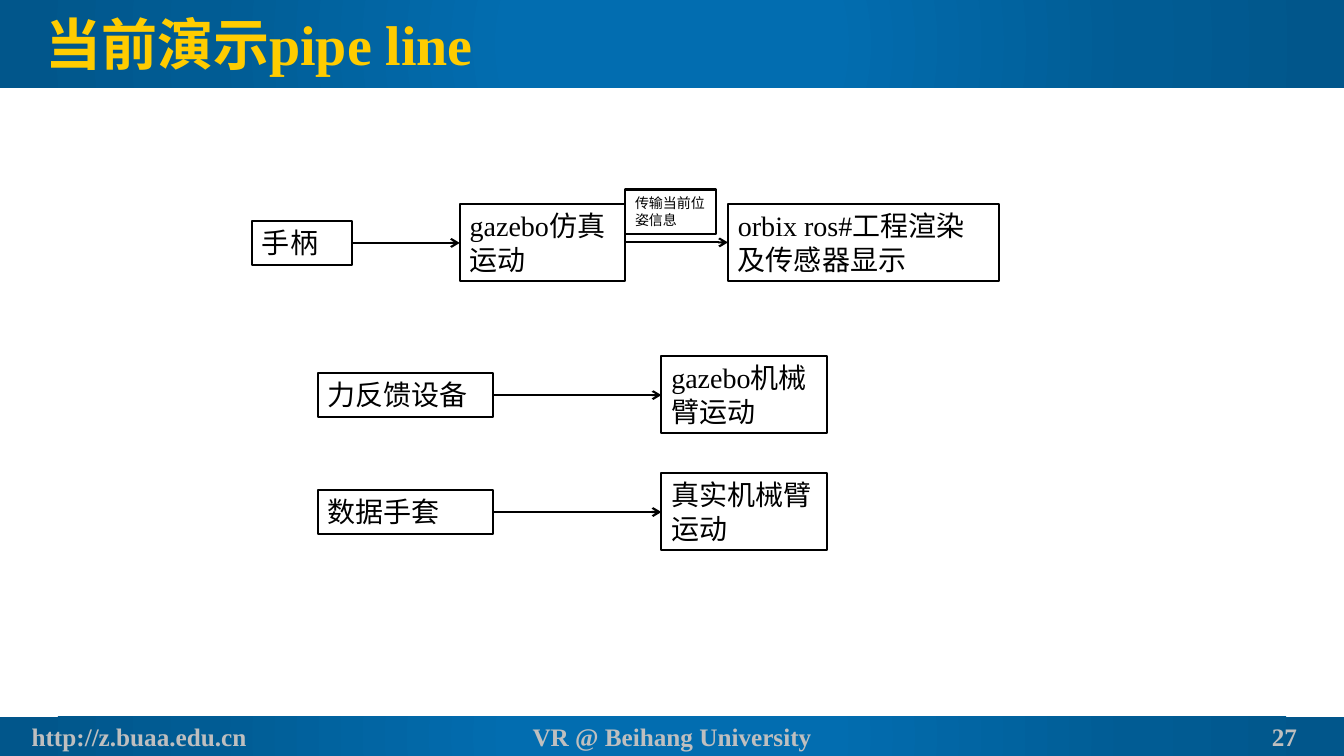
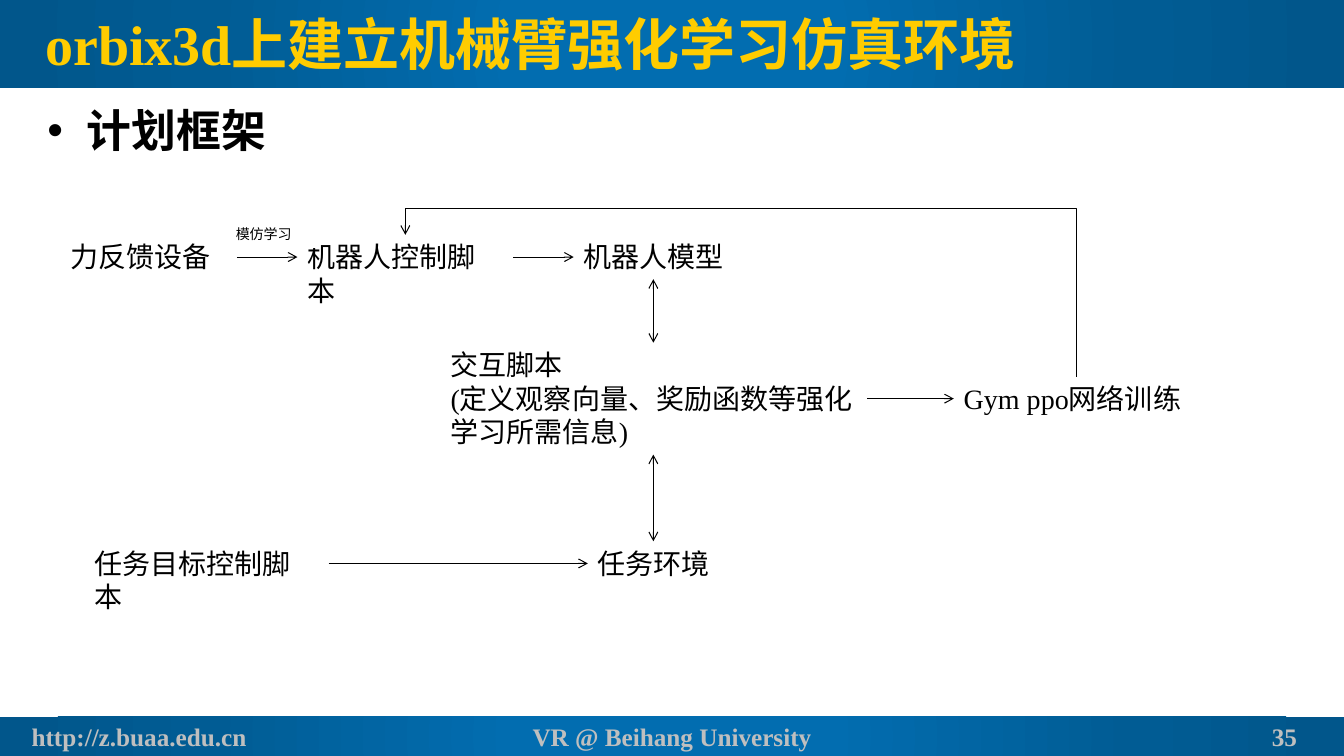
import pptx
import pptx.util
import pptx.oxml
import pptx.oxml.ns
import pptx.dml.color
import pptx.enum.shapes
import pptx.enum.text
from dataclasses import dataclass
from lxml import etree

Inches = pptx.util.Inches
Pt = pptx.util.Pt
qn = pptx.oxml.ns.qn
ALIGN = pptx.enum.text.PP_ALIGN
ANCHOR = pptx.enum.text.MSO_ANCHOR
AUTO = pptx.enum.text.MSO_AUTO_SIZE
RECT = pptx.enum.shapes.MSO_SHAPE.RECTANGLE
CONNECTOR = pptx.enum.shapes.MSO_CONNECTOR


@dataclass(frozen=True)
class Theme:
    font: str = "Times New Roman"
    ink: str = "000000"
    paper: str = "FFFFFF"
    title: str = "FFCC00"
    footer: str = "BFBFBF"
    band: tuple = ((0, "026DB0"), (23, "026DB0"), (69, "015C94"), (97, "01568B"))
    title_size: int = 40
    list_size: int = 32
    box_size: int = 20
    footer_size: int = 18
    note_size: int = 10


def rgb(code):
    return pptx.dml.color.RGBColor.from_string(code)


class Deck:
    def __init__(self, theme):
        self.theme = theme
        self.prs = pptx.Presentation()
        self.prs.slide_width = Inches(13.33)
        self.prs.slide_height = Inches(7.5)
        self.s = None
        self.line_width = 0.75

    def slide(self, title, number, layout, line_width):
        """Start a slide with its bands, title and footer."""
        self.s = self.prs.slides.add_slide(self.prs.slide_layouts[layout])
        self.line_width = line_width
        self.band(0, 0.87)
        self.band(7.11, 0.39)
        self.placeholder(self.s.shapes.title, title, (0.35, 0.08, 12.58, 0.7),
                         self.theme.title_size, self.theme.title, ANCHOR.MIDDLE)
        footers = ((0, 2.76, "http://z.buaa.edu.cn"),
                   (5.09, 3.15, "VR @ Beihang University"),
                   (12.15, 1.18, str(number)))
        for left, width, text in footers:
            self.footer(left, width, text)

    def style(self, tf, size, color, bold=False):
        for p in tf.paragraphs:
            for r in p.runs:
                r.font.name = self.theme.font
                r.font.size = Pt(size)
                r.font.bold = bold
                r.font.color.rgb = rgb(color)

    def band(self, top, height):
        """Gradient band, placed behind everything else."""
        sp = self.s.shapes.add_shape(RECT, 0, Inches(top), self.prs.slide_width, Inches(height))
        sp.shadow.inherit = False
        sp.line.fill.background()
        sp.fill.background()
        stops = "".join(f'<a:gs pos="{pos * 1000}"><a:srgbClr val="{color}"/></a:gs>'
                        for pos, color in self.theme.band)
        grad = pptx.oxml.parse_xml(
            f'<a:gradFill {pptx.oxml.ns.nsdecls("a")} rotWithShape="1"><a:gsLst>{stops}</a:gsLst>'
            '<a:path path="circle"><a:fillToRect l="50000" t="50000" r="50000" b="50000"/></a:path>'
            '</a:gradFill>')
        props = sp._element.spPr
        props.replace(props.find(qn("a:noFill")), grad)
        self.s.shapes._spTree.insert(2, sp._element)

    def footer(self, left, width, text):
        sp = self.s.shapes.add_textbox(Inches(left), Inches(7.11), Inches(width), Inches(0.39))
        tf = sp.text_frame
        tf.margin_left = tf.margin_right = tf.margin_top = tf.margin_bottom = 0
        tf.word_wrap = True
        tf.vertical_anchor = ANCHOR.MIDDLE
        tf.text = text
        tf.paragraphs[0].alignment = ALIGN.CENTER
        self.style(tf, self.theme.footer_size, self.theme.footer, True)

    def placeholder(self, sp, text, place, size, color, anchor):
        sp.left, sp.top, sp.width, sp.height = map(Inches, place)
        tf = sp.text_frame
        tf.auto_size = AUTO.NONE
        tf.word_wrap = True
        tf.vertical_anchor = anchor
        tf.text = text
        for p in tf.paragraphs:
            p.alignment = ALIGN.LEFT
            p.space_before = Pt(0)
        self.style(tf, size, color, True)
        return tf

    def bullets(self, text, place):
        tf = self.placeholder(self.s.placeholders[1], text, place,
                              self.theme.list_size, self.theme.ink, ANCHOR.TOP)
        for p in tf.paragraphs:
            props = p._p.get_or_add_pPr()
            props.set("marL", str(Inches(0.39)))
            props.set("indent", str(-Inches(0.39)))
            etree.SubElement(props, qn("a:buChar")).set("char", "•")

    def box(self, text, left, top, width, height=0.44, size=None, framed=False):
        """White text box, with a frame if asked for."""
        sp = self.s.shapes.add_shape(RECT, *map(Inches, (left, top, width, height)))
        sp.shadow.inherit = False
        sp.fill.solid()
        sp.fill.fore_color.rgb = rgb(self.theme.paper)
        if framed:
            sp.line.color.rgb = rgb(self.theme.ink)
            sp.line.width = Pt(self.line_width)
        else:
            sp.line.fill.background()
        tf = sp.text_frame
        tf.word_wrap = True
        tf.auto_size = AUTO.SHAPE_TO_FIT_TEXT
        tf.vertical_anchor = ANCHOR.TOP
        tf.text = text
        for p in tf.paragraphs:
            p.alignment = ALIGN.LEFT
        self.style(tf, size or self.theme.box_size, self.theme.ink)
        return sp

    def arrow(self, kind, x1, y1, x2, y2, both=False):
        cx = self.s.shapes.add_connector(kind, x1, y1, x2, y2)
        cx.line.color.rgb = rgb(self.theme.ink)
        cx.line.width = Pt(self.line_width)
        props = cx._element.spPr
        for end in ("a:headEnd", "a:tailEnd") if both else ("a:tailEnd",):
            etree.SubElement(props.find(qn("a:ln")), qn(end)).set("type", "arrow")
        etree.SubElement(props, qn("a:effectLst"))
        return cx

    def across(self, a, b):
        """Arrow from the right side of a to the left side of b."""
        y = a.top + a.height // 2
        self.arrow(CONNECTOR.STRAIGHT, a.left + a.width, y, b.left, y)

    def between(self, a, b, x):
        """Two-headed arrow from the bottom of a to the top of b."""
        self.arrow(CONNECTOR.STRAIGHT, x, a.top + a.height, x, b.top, both=True)

    def over(self, a, b, rise):
        """Bent arrow from the top of a, over and down to the top of b on its left."""
        x1, x2 = a.left + a.width // 2, b.left + b.width // 2
        w, h = a.top - b.top, x1 - x2
        left, top = (x1 + x2 - w) // 2, (a.top + b.top - h) // 2
        cx = self.arrow(CONNECTOR.ELBOW, left, top, left + w, top + h)
        props = cx._element.spPr
        xfrm = props.find(qn("a:xfrm"))
        xfrm.set("rot", str(270 * 60000))
        xfrm.set("flipV", "1")
        geom = props.find(qn("a:prstGeom"))
        guides = geom.find(qn("a:avLst"))
        if guides is None:
            guides = etree.SubElement(geom, qn("a:avLst"))
        guide = etree.SubElement(guides, qn("a:gd"))
        guide.set("name", "adj1")
        guide.set("fmla", f"val {round((w + rise) / w * 100000)}")


def pipeline(deck):
    deck.slide("当前演示pipe line", 27, layout=5, line_width=1.5)

    # Handle to simulation to rendering
    render = deck.box("orbix ros#工程渲染及传感器显示", 7.22, 2.02, 2.69, 0.77, framed=True)
    simulation = deck.box("gazebo仿真运动", 4.56, 2.02, 1.64, 0.77, framed=True)
    handle = deck.box("手柄", 2.5, 2.19, 0.99, framed=True)
    deck.across(simulation, render)
    deck.across(handle, simulation)
    deck.box("传输当前位姿信息", 6.2, 1.88, 0.9, size=deck.theme.note_size, framed=True)

    # Devices that drive the arms
    for top, device, arm in ((3.53, "力反馈设备", "gazebo机械臂运动"),
                             (4.69, "数据手套", "真实机械臂运动")):
        source = deck.box(device, 3.15, top + 0.17, 1.74, framed=True)
        target = deck.box(arm, 6.56, top, 1.64, 0.77, framed=True)
        deck.across(source, target)


def framework(deck):
    deck.slide("orbix3d上建立机械臂强化学习仿真环境", 35, layout=1, line_width=0.75)
    deck.bullets("计划框架", (0.37, 0.97, 12.97, 0.61))

    # Boxes
    model = deck.box("机器人模型", 5.69, 2.33, 1.6)
    task = deck.box("任务环境", 5.83, 5.37, 1.32)
    script = deck.box("交互脚本\n(定义观察向量、奖励函数等强化学习所需信息)", 4.37, 3.4, 4.23, 1.11)
    control = deck.box("机器人控制脚本", 2.95, 2.33, 2.14)
    goal = deck.box("任务目标控制脚本", 0.84, 5.37, 2.42)
    training = deck.box("Gym ppo网络训练", 9.46, 3.74, 2.43)
    device = deck.box("力反馈设备", 0.6, 2.33, 1.75)
    deck.box("模仿学习", 2.24, 2.19, 0.9, 0.27, size=deck.theme.note_size)

    # Arrows
    for a, b in ((device, control), (control, model), (goal, task), (script, training)):
        deck.across(a, b)
    for a, b in ((model, script), (script, task)):
        deck.between(a, b, Inches(6.48))
    deck.over(training, control, Inches(0.26))


def main():
    deck = Deck(Theme())
    pipeline(deck)
    framework(deck)
    deck.prs.save("out.pptx")


if __name__ == "__main__":
    main()
